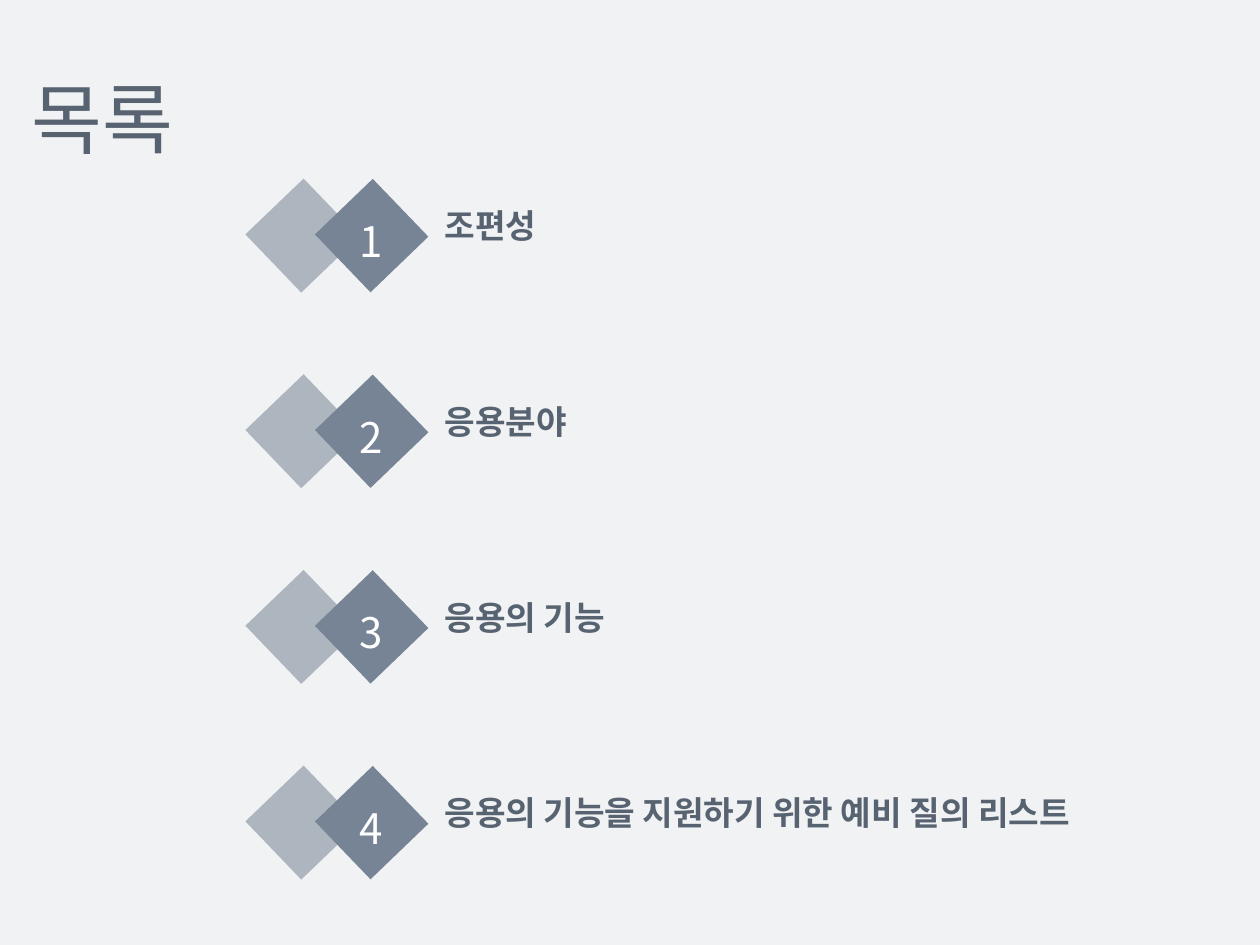
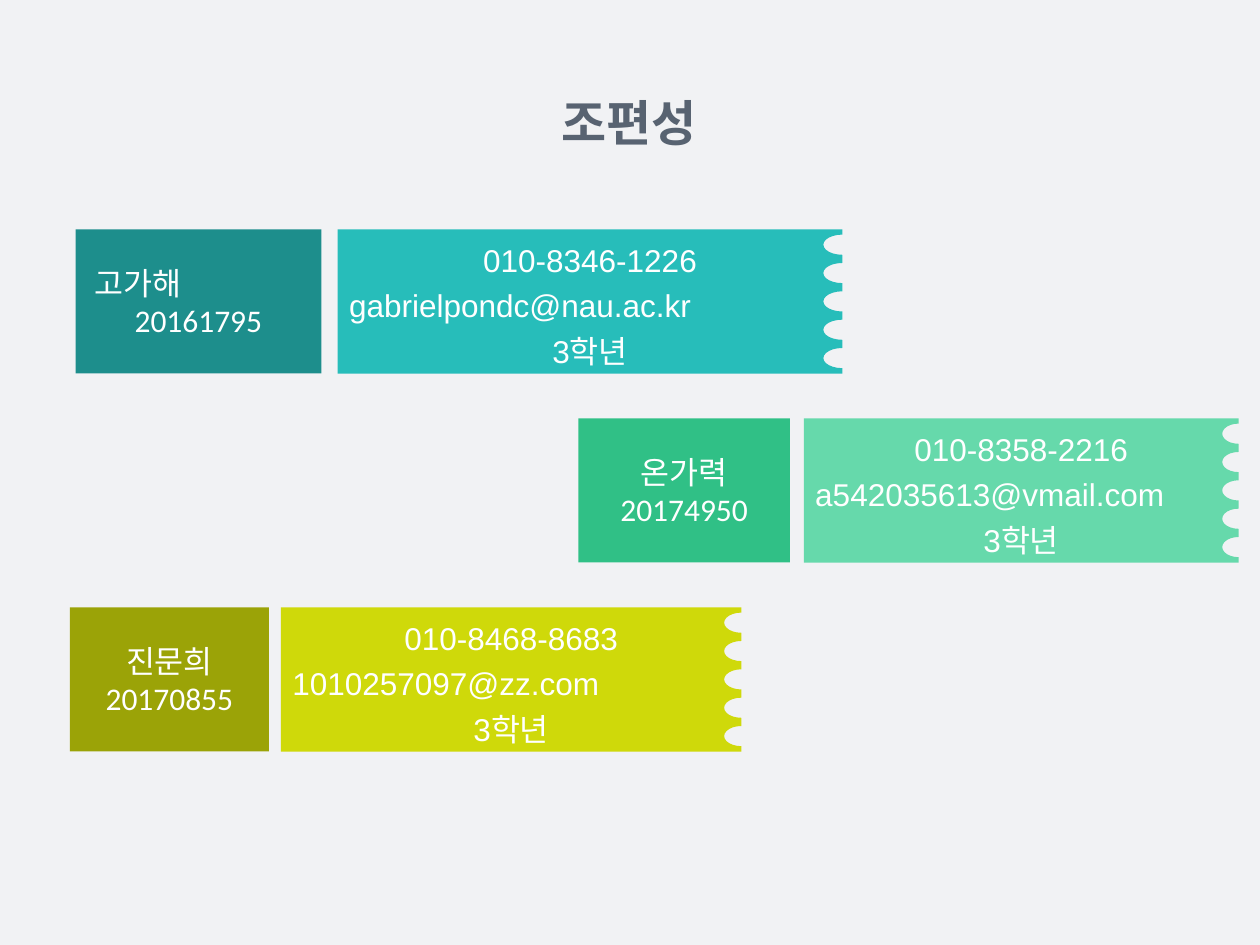
import math

import pptx
import pptx.dml.color
import pptx.enum.shapes
import pptx.enum.text
import pptx.oxml.ns
import pptx.util

COLS, ROWS = 100, 75
SANS, LATIN, LABEL = "Noto Sans CJK SC", "Arial", "Calibri"
BACK, INK, WHITE = "F1F2F4", "586371", "FFFFFF"
PALE, SLATE = "ADB5BF", "778495"
ALIGN = pptx.enum.text.PP_ALIGN
ANCHOR = pptx.enum.text.MSO_ANCHOR
FIT = pptx.enum.text.MSO_AUTO_SIZE


def rgb(value):
    """Turn a hex string into a colour."""
    return pptx.dml.color.RGBColor.from_string(value)


class Deck:
    """The shared style, the grid and the current slide."""

    def __init__(self):
        """Open a 4:3 deck with its common background."""
        self.prs = pptx.Presentation()
        self.prs.slide_width = pptx.util.Inches(10)
        self.prs.slide_height = pptx.util.Inches(7.5)
        fill = self.prs.slide_master.background.fill
        fill.solid()
        fill.fore_color.rgb = rgb(BACK)
        self.s = None

    def x(self, cols):
        """Length of a number of grid columns."""
        return round(self.prs.slide_width * cols / COLS)

    def y(self, rows):
        """Length of a number of grid rows."""
        return round(self.prs.slide_height * rows / ROWS)

    def box(self, left, top, width, height):
        """Grid position as left, top, width, height."""
        return self.x(left), self.y(top), self.x(width), self.y(height)

    def label(self, sp, lines, size, font, color, bold=False, align=ALIGN.CENTER,
              spacing=None, anchor=ANCHOR.MIDDLE, inset=None):
        """Set and format text; a line is a string or (string, left indent in columns)."""
        tf = sp.text_frame
        tf.word_wrap = True
        tf.vertical_anchor = anchor
        if inset is not None:
            tf.margin_left = tf.margin_right = tf.margin_top = tf.margin_bottom = inset
        for i, line in enumerate(lines):
            p = tf.paragraphs[0] if i == 0 else tf.add_paragraph()
            text, indent = (line, None) if isinstance(line, str) else line
            p.text = text
            p.alignment = align if indent is None else ALIGN.LEFT
            if indent is not None:
                p._p.get_or_add_pPr().set("marL", str(self.x(indent)))
            if spacing:
                p.line_spacing = spacing
            for r in p.runs:
                r.font.size = pptx.util.Pt(size)
                r.font.name = font
                r.font.bold = bold
                r.font.color.rgb = rgb(color)
                props = r._r.get_or_add_rPr()
                ea = props.makeelement(pptx.oxml.ns.qn("a:ea"), {"typeface": font})
                props.find(pptx.oxml.ns.qn("a:latin")).addnext(ea)

    def paint(self, sp, color):
        """Give a shape a flat fill without outline or shadow."""
        sp.shadow.inherit = False
        sp.fill.solid()
        sp.fill.fore_color.rgb = rgb(color)
        sp.line.fill.background()
        return sp

    def title_slide(self, text, place, size, font, **style):
        """Start a slide and set its title placeholder."""
        self.s = self.prs.slides.add_slide(self.prs.slide_layouts[5])
        sp = self.s.shapes.title
        sp.left, sp.top, sp.width, sp.height = self.box(*place)
        self.label(sp, [text], size, font, INK, **style)
        sp.text_frame.auto_size = FIT.NONE

    def rect(self, place, color, rotation=0):
        """Draw a flat rectangle."""
        kind = pptx.enum.shapes.MSO_SHAPE.RECTANGLE
        sp = self.paint(self.s.shapes.add_shape(kind, *self.box(*place)), color)
        sp.rotation = rotation
        return sp

    def outline(self, points, color):
        """Draw a flat closed outline through grid points."""
        points = [(self.x(a), self.y(b)) for a, b in points]
        builder = self.s.shapes.build_freeform(*points[0])
        builder.add_line_segments(points[1:], close=True)
        return self.paint(builder.convert_to_shape(), color)

    def agenda_item(self, number, text, top):
        """Draw a numbered pair of diamonds and its heading."""
        sp = self.s.shapes.add_textbox(*self.box(34.3, top + 1, 58.2, 7.1))
        self.label(sp, [text], 19, SANS, INK, bold=True, align=ALIGN.LEFT,
                   spacing=1.2, anchor=ANCHOR.TOP)
        self.rect((20.8, top + 1.3, 6.4, 6.4), PALE, 46.2)
        left, size = 25, 9
        corners = [(0.51, 0), (1, 0.51), (0.49, 1), (0, 0.49)]
        sp = self.outline([(left + a * size, top + b * size) for a, b in corners], SLATE)
        self.label(sp, [str(number)], 24, SANS, WHITE, spacing=1.2)

    def ticket(self, left, top, width, height, color, notches=5, steps=12):
        """Draw a panel whose right edge has half-ellipse notches."""
        right, depth, radius, pitch = left + width, width * 0.0375, 0.8, 2.25
        points = [(left, top), (right, top)]
        for i in range(notches):
            middle = top + height / 2 + (i - (notches - 1) / 2) * pitch
            for k in range(steps + 1):
                angle = math.pi * k / steps
                points.append((right - depth * math.sin(angle),
                               middle - radius * math.cos(angle)))
        points += [(right, top + height), (left, top + height)]
        return self.outline(points, color)

    def member(self, top, badge, card, colors, name, contact):
        """Draw a name badge and the contact ticket beside it."""
        height = 11.45
        sp = self.rect((badge[0], top, badge[1], height), colors[0])
        self.label(sp, name, 18, LABEL, WHITE, inset=0)
        sp = self.ticket(card[0], top, card[1], height, colors[1])
        phone, mail, grade = contact
        self.label(sp, [phone, (mail, 0.9), grade], 18, LATIN, WHITE, spacing=1.2, inset=0)


AGENDA = ["조편성", "응용분야", "응용의 기능", "응용의 기능을 지원하기 위한 예비 질의 리스트"]
GRADE = "3학년"
# badge (left, width), ticket (left, width), colours, name lines, contact lines
MEMBERS = [
    ((6, 19.5), (26.8, 40.05), ("1D8E8C", "27BDBA"), [("고가해", 1.5), "20161795"],
     ("010-8346-1226", "gabrielpondc@nau.ac.kr", GRADE)),
    ((45.9, 16.8), (63.8, 34.5), ("30C086", "66D9AB"), ["온가력", "20174950"],
     ("010-8358-2216", "a542035613@vmail.com", GRADE)),
    ((5.55, 15.8), (22.3, 36.55), ("9BA307", "CFD90A"), ["진문희", "20170855"],
     ("010-8468-8683", "1010257097@zz.com", GRADE)),
]

deck = Deck()
deck.title_slide("목록", (1.5, 5.2, 14.2, 8.4), 44, LATIN, align=ALIGN.LEFT, anchor=ANCHOR.TOP)
for i, heading in enumerate(AGENDA):
    deck.agenda_item(i + 1, heading, 14.2 + 15.53 * i)

deck.title_slide("조편성", (15.6, 4.9, 68.7, 9.5), 28, SANS, bold=True)
for i, row in enumerate(MEMBERS):
    deck.member(18.2 + 15 * i, *row)

deck.prs.save("out.pptx")
